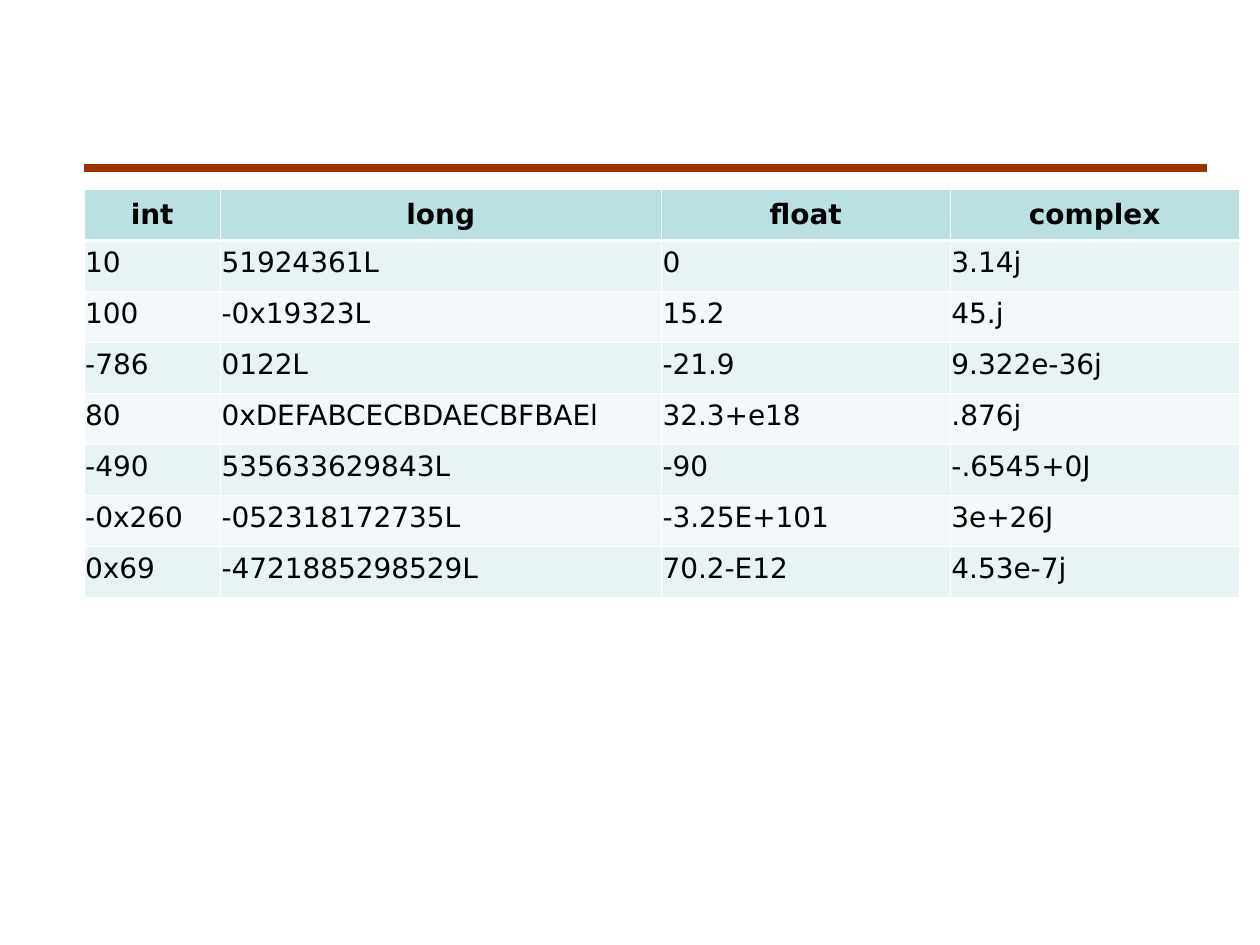
from lxml import etree
from pptx import Presentation
from pptx.dml.color import RGBColor
from pptx.enum.shapes import MSO_CONNECTOR
from pptx.enum.text import MSO_ANCHOR, PP_ALIGN
from pptx.oxml.ns import qn
from pptx.util import Pt

STRAIGHT = MSO_CONNECTOR.STRAIGHT
TOP, MIDDLE = MSO_ANCHOR.TOP, MSO_ANCHOR.MIDDLE
LEFT, CENTER = PP_ALIGN.LEFT, PP_ALIGN.CENTER

BLACK = RGBColor(0x00, 0x00, 0x00)
WHITE = RGBColor(0xFF, 0xFF, 0xFF)
RUST = RGBColor(0x99, 0x33, 0x00)
HEADER = RGBColor(0xBB, 0xE0, 0xE3)
BANDS = (RGBColor(0xF3, 0xF9, 0xFA), RGBColor(0xE7, 0xF3, 0xF4))

THIN, THICK = 0.45, 1.47
MARGIN = 48
ROW_HEIGHT = 29.14
COLUMN_WIDTHS = (77.9, 252, 165.1, 165.1)
NUMBER_TYPES = (
    ("int", "long", "float", "complex"),
    ("10", "51924361L", "0", "3.14j"),
    ("100", "-0x19323L", "15.2", "45.j"),
    ("-786", "0122L", "-21.9", "9.322e-36j"),
    ("80", "0xDEFABCECBDAECBFBAEl", "32.3+e18", ".876j"),
    ("-490", "535633629843L", "-90", "-.6545+0J"),
    ("-0x260", "-052318172735L", "-3.25E+101", "3e+26J"),
    ("0x69", "-4721885298529L", "70.2-E12", "4.53e-7j"),
)


class SlideBuilder:
    font = {"name": "DejaVu Sans", "size": Pt(16)}
    insets = {"margin_left": Pt(0.72), "margin_right": Pt(0.72),
              "margin_top": Pt(3.6), "margin_bottom": Pt(3.6)}

    def __init__(self, prs):
        self.slide = prs.slides.add_slide(prs.slide_layouts[6])

    @staticmethod
    def format(obj, values):
        for name, value in values.items():
            setattr(obj, name, value)

    def rule(self, x1, x2, y, color, width):
        sp = self.slide.shapes.add_connector(STRAIGHT, Pt(x1), Pt(y), Pt(x2), Pt(y))
        sp.line.color.rgb = color
        sp.line.width = Pt(width)
        etree.SubElement(sp._element.spPr, qn("a:effectLst"))

    def borders(self, cell, widths):
        tc_pr = cell._tc.get_or_add_tcPr()
        # Borders come before the fill in a cell's properties
        for i, (side, width) in enumerate(widths.items()):
            ln = etree.Element(qn(f"a:ln{side}"), w=str(int(Pt(width))))
            fill = etree.SubElement(ln, qn("a:solidFill"))
            etree.SubElement(fill, qn("a:srgbClr"), val=str(WHITE))
            tc_pr.insert(i, ln)

    def cell(self, cell, text, row):
        header = row == 0
        self.format(cell, self.insets)
        cell.vertical_anchor = MIDDLE if header else TOP
        cell.fill.solid()
        cell.fill.fore_color.rgb = HEADER if header else BANDS[row % 2]
        self.borders(cell, {"L": THIN, "R": THIN,
                            "T": THICK if row == 1 else THIN,
                            "B": THICK if header else THIN})
        p = cell.text_frame.paragraphs[0]
        p.alignment = CENTER if header else LEFT
        r = p.add_run()
        r.text = text
        self.format(r.font, {**self.font, "bold": header})
        r.font.color.rgb = BLACK

    def table(self, x, y, widths, row_height, rows):
        sp = self.slide.shapes.add_table(
            len(rows), len(widths), Pt(x), Pt(y),
            Pt(sum(widths)), Pt(row_height * len(rows)))
        table = sp.table
        for column, width in zip(table.columns, widths):
            column.width = Pt(width)
        for i, texts in enumerate(rows):
            table.rows[i].height = Pt(row_height)
            for j, text in enumerate(texts):
                self.cell(table.cell(i, j), text, i)


def main():
    prs = Presentation()
    prs.slide_width, prs.slide_height = Pt(720), Pt(540)
    s = SlideBuilder(prs)

    # Rule under the title area
    s.rule(MARGIN, 690, 96, RUST, 4.5)

    # Examples of each number type
    s.table(MARGIN, 108.3, COLUMN_WIDTHS, ROW_HEIGHT, NUMBER_TYPES)

    prs.save("out.pptx")


if __name__ == "__main__":
    main()
